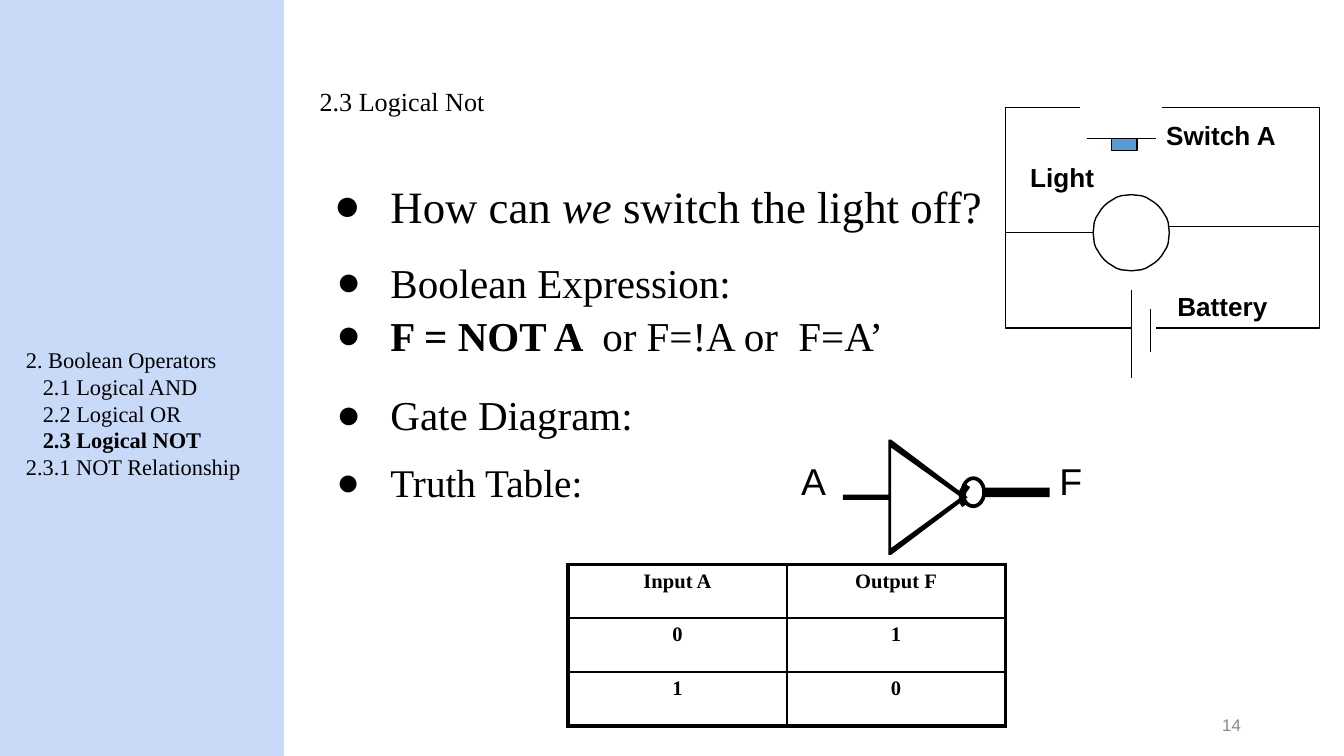
from math import cos, pi, sin

from lxml.etree import SubElement
from pptx import Presentation
from pptx.dml.color import RGBColor
from pptx.enum.shapes import MSO_CONNECTOR, MSO_SHAPE
from pptx.enum.text import MSO_ANCHOR, PP_ALIGN
from pptx.oxml.ns import qn
from pptx.util import Cm, Pt

COLORS = {"ink": "000000", "sidebar": "C9DAF8", "switch": "5B9BD4", "number": "888888"}
SERIF, SANS = "Times New Roman", "Arial"
THIN, THICK = 0.95, 2.21


def color(name):
    return RGBColor.from_string(COLORS[name])


def add_text(slide, left, top, width, height, paragraphs, size, font=SERIF,
             ink="ink", bold=None, inset=(0, 0.03), anchor=MSO_ANCHOR.TOP, wrap=True):
    """Add a text box; a paragraph is a string or a list of (text, bold, italic)."""
    frame = slide.shapes.add_textbox(Cm(left), Cm(top), Cm(width), Cm(height)).text_frame
    frame.word_wrap = wrap
    frame.vertical_anchor = anchor
    frame.margin_left = frame.margin_right = Cm(inset[0])
    frame.margin_top = frame.margin_bottom = Cm(inset[1])
    for index, spans in enumerate(paragraphs):
        para = frame.paragraphs[0] if index == 0 else frame.add_paragraph()
        if isinstance(spans, str):
            spans = [(spans, bold, None)]
        for text, span_bold, italic in spans:
            span = para.add_run()
            span.text = text
            span.font.bold, span.font.italic = span_bold, italic
            span.font.size, span.font.name = Pt(size), font
            span.font.color.rgb = color(ink)
    return frame.paragraphs


def indent(para, left, first=0):
    properties = para._p.get_or_add_pPr()
    properties.set("marL", str(Cm(left)))
    properties.set("indent", str(Cm(first)))
    return properties


def add_bullets(slide, top, width, height, paragraphs, size, inset=0.03, hang=1.02):
    paras = add_text(slide, 6.11, top, width, height, paragraphs, size, inset=(0, inset))
    for para in paras:
        properties = indent(para, 1.27, -hang)
        SubElement(properties, qn("a:buFont")).set("typeface", SERIF)
        SubElement(properties, qn("a:buChar")).set("char", "●")
    return paras


def add_line(slide, x1, y1, x2, y2, weight=0.75):
    line = slide.shapes.add_connector(
        MSO_CONNECTOR.STRAIGHT, Cm(x1), Cm(y1), Cm(x2), Cm(y2))
    line.line.color.rgb = color("ink")
    line.line.width = Pt(weight)
    SubElement(line._element.spPr, qn("a:effectLst"))


def style(shape, fill=None, line="ink", weight=0.75):
    shape.shadow.inherit = False
    if fill:
        shape.fill.solid()
        shape.fill.fore_color.rgb = color(fill)
    else:
        shape.fill.background()
    shape.line.color.rgb = color(line)
    shape.line.width = Pt(weight)
    return shape


def add_shape(slide, kind, left, top, width, height, **look):
    shape = slide.shapes.add_shape(kind, Cm(left), Cm(top), Cm(width), Cm(height))
    return style(shape, **look)


def add_outline(slide, contours, close=False, **look):
    """Draw contours, given in centimetres, as one freeform on a grid of 0.01 cm."""
    grids = [[(x * 100, y * 100) for x, y in contour] for contour in contours]
    builder = slide.shapes.build_freeform(*grids[0][0], scale=Cm(0.01))
    for index, points in enumerate(grids):
        if index:
            builder.move_to(*points[0])
        builder.add_line_segments(points[1:], close=close)
    return style(builder.convert_to_shape(), **look)


def circle_points(x, y, radius, steps=48):
    angles = [2 * pi * step / steps for step in range(steps + 1)]
    return [(x + radius * cos(angle), y + radius * sin(angle)) for angle in angles]


def add_circuit(slide):
    left, right, top, bottom = 19, 24.94, 2.03, 6.2
    add_line(slide, left, top, 20.42, top)
    add_outline(slide, [
        [(left, top), (left, bottom), (21.38, bottom)],
        [(left, 4.4), (20.66, 4.4)],
        circle_points(21.38, 4.4, 0.72),
        [(22.1, 4.28), (right, 4.28)],
        [(21.38, 5.49), (21.38, 7.14)],
        [(21.74, 5.84), (21.74, 6.65)],
    ])
    add_line(slide, 21.96, top, 24, top)
    add_outline(slide, [[(23.52, top), (right, top), (right, bottom), (21.84, bottom)]])
    add_line(slide, 20.55, 2.62, 21.84, 2.62)
    add_shape(slide, MSO_SHAPE.RECTANGLE, 21.01, 2.62, 0.48, 0.23, fill="switch")
    add_text(slide, 22.25, 5.46, 2.16, 0.61, ["Battery"], 14, SANS, bold=True)
    labels = add_text(slide, 19.44, 2.03, 5.74, 1.57, ["Switch A", "Light"], 14, SANS,
                      bold=True, inset=(0, 0.23))
    indent(labels[0], 2.6)
    indent(labels[1], 0.03)
    labels[1].space_before = Pt(5.5)


def add_not_gate(slide):
    add_outline(slide, [[(18.28, 9.17), (18.19, 9.3), (18.19, 9.47), (18.24, 9.55)]],
                weight=3.85)
    border = [(15.93, 9.35), (16.79, 9.35), (16.79, 8.31), (16.84, 8.31), (18.29, 9.4),
              (16.84, 10.49), (16.79, 10.49), (16.79, 9.45), (15.93, 9.45)]
    opening = [(16.84, 8.46), (16.84, 10.36), (18.16, 9.4)]
    gate = add_outline(slide, [border, opening], close=True, fill="ink")
    output = add_shape(slide, MSO_SHAPE.RECTANGLE, 18.59, 9.22, 1.25, 0.18, fill="ink")
    for shape in (gate, output):
        shape.line.fill.background()
    add_shape(slide, MSO_SHAPE.OVAL, 18.19, 9.04, 0.41, 0.53, weight=2)
    for left, label in ((15.14, "A"), (20.02, "F")):
        add_text(slide, left, 8.64, 0.6, 1.35, [label], 20, SANS)


def set_borders(cell, weights):
    properties = cell._tc.get_or_add_tcPr()
    for side, weight in zip("LRTB", weights):
        border = SubElement(properties, qn(f"a:ln{side}"), w=str(Pt(weight)))
        fill = SubElement(border, qn("a:solidFill"))
        SubElement(fill, qn("a:srgbClr"), val=COLORS["ink"])


def add_truth_table(slide, rows):
    last_row, last_column = len(rows) - 1, len(rows[0]) - 1
    table = slide.shapes.add_table(len(rows), len(rows[0]), Cm(10.74), Cm(10.67),
                                   Cm(8.26), Cm(3.05)).table
    table.first_row = table.horz_banding = False
    for r, row in enumerate(rows):
        for c, value in enumerate(row):
            cell = table.cell(r, c)
            cell.margin_left = cell.margin_right = Cm(0.2)
            cell.margin_top = cell.margin_bottom = Cm(0.1)
            outer = (c == 0, c == last_column, r == 0, r == last_row)
            set_borders(cell, [THICK if edge else THIN for edge in outer])
            cell.fill.background()
            cell.text = value
            para = cell.text_frame.paragraphs[0]
            para.alignment = PP_ALIGN.CENTER
            para.font.size, para.font.name, para.font.bold = Pt(11), SERIF, True
            para.font.color.rgb = color("ink")


def add_sidebar(slide):
    add_shape(slide, MSO_SHAPE.RECTANGLE, 0, -0.02, 5.36, 14.4,
              fill="sidebar", line="sidebar")
    outline = add_text(slide, 0.24, 6.41, 5, 2.82, [
        "2. Boolean Operators", "2.1 Logical AND", "2.2 Logical OR",
        [("2.3 Logical NOT", True, None)], "2.3.1 NOT Relationship",
    ], 12, inset=(0.25, 0.13))
    for para in outline[1:4]:
        indent(para, 0.32)


def main():
    deck = Presentation()
    deck.slide_width, deck.slide_height = Cm(25.4), Cm(14.29)
    slide = deck.slides.add_slide(deck.slide_layouts[6])

    add_sidebar(slide)
    add_text(slide, 23.1, 13.51, 0.51, 0.38, ["14"], 9, SANS, "number",
             inset=(0, 0), wrap=False)
    add_text(slide, 6.04, 1.03, 14.46, 1.78, ["2.3 Logical Not"], 14,
             anchor=MSO_ANCHOR.MIDDLE)
    add_circuit(slide)
    add_bullets(slide, 3.35, 12.95, 1.57, [[
        ("How can ", None, None), ("we ", None, True),
        ("switch the light off?", None, None)]], 24, hang=1.07)
    expression = add_bullets(slide, 4.66, 10.87, 2.18, [
        "Boolean Expression:",
        [("F = NOT A\t ", True, None), ("or F=!A or  F=A’", None, None)]], 22, 0.2)
    expression[1].line_spacing = 1.08
    add_bullets(slide, 7.34, 7.39, 0.91, ["Gate Diagram:"], 22)
    add_bullets(slide, 8.64, 6.35, 0.91, ["Truth Table:"], 21)
    add_not_gate(slide)
    add_truth_table(slide, [("Input A", "Output F"), ("0", "1"), ("1", "0")])
    deck.save("out.pptx")


if __name__ == "__main__":
    main()
